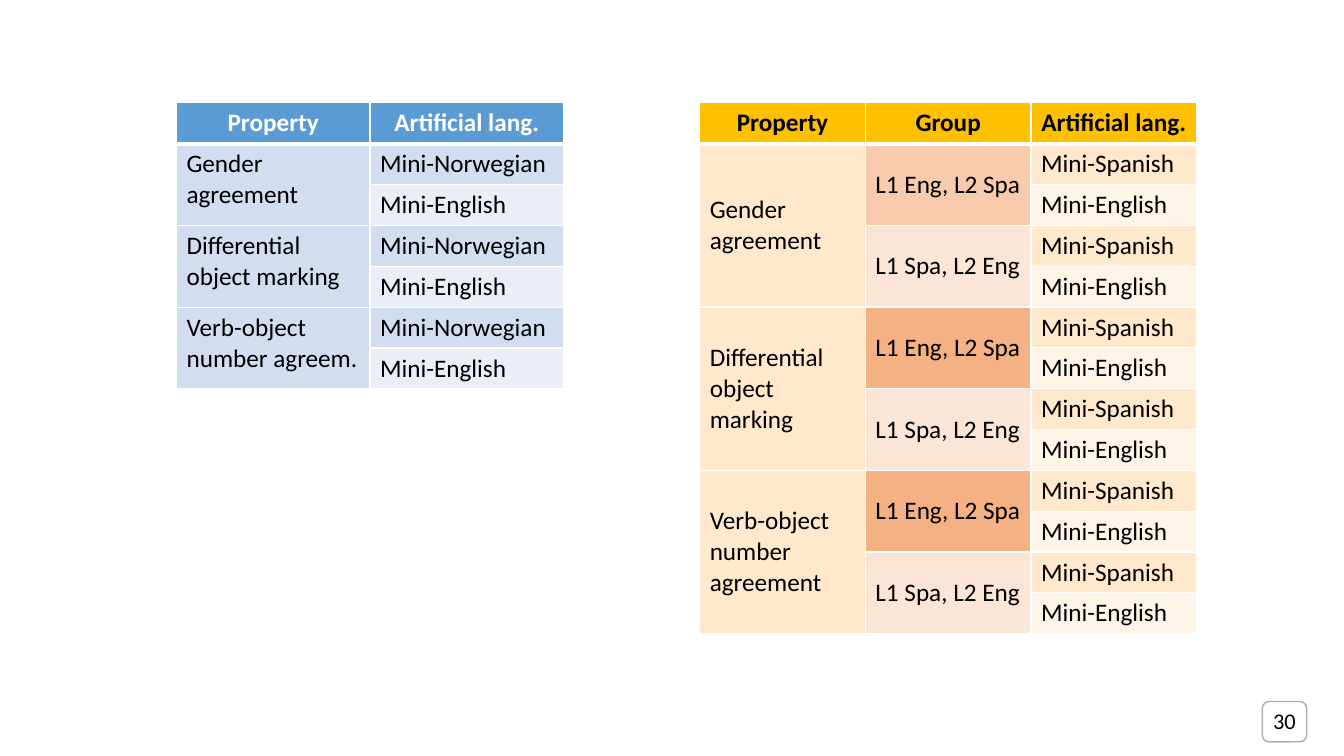
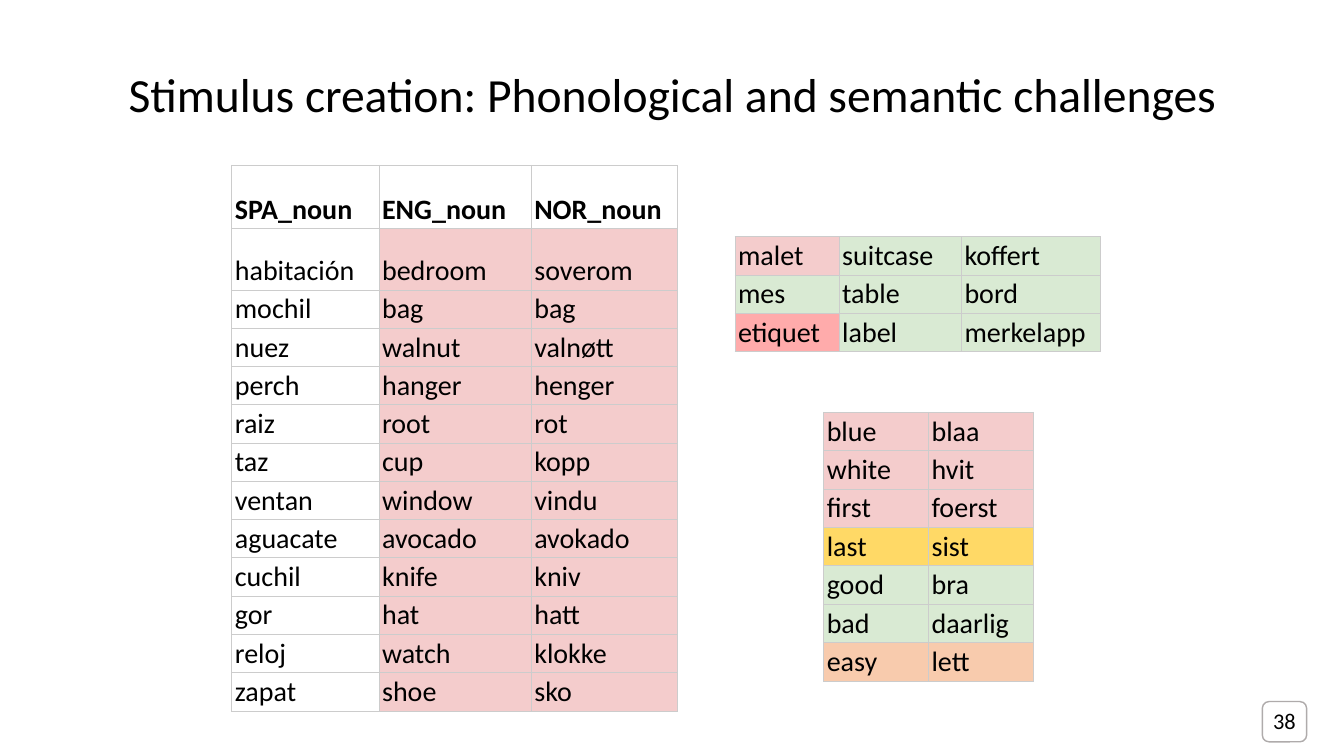
from dataclasses import dataclass

import pptx
import pptx.dml.color
import pptx.enum.shapes
import pptx.enum.text
import pptx.oxml
import pptx.oxml.ns
import pptx.util

ALIGN = pptx.enum.text.PP_ALIGN
ANCHOR = pptx.enum.text.MSO_ANCHOR


@dataclass(frozen=True)
class Theme:
    font: str = "Calibri"
    title_size: int = 34
    design_size: int = 18
    word_size: int = 20
    number_size: int = 16
    black: str = "000000"
    white: str = "FFFFFF"
    badge_line: str = "AFABAB"
    grid_line: str = "CCCCCC"
    blue: str = "5B9BD5"
    blue_mid: str = "D2DEEF"
    blue_pale: str = "EAEFF7"
    gold: str = "FFC000"
    gold_mid: str = "FFE8CC"
    gold_pale: str = "FFF4E7"
    orange: str = "F4B183"
    peach: str = "F8CBAD"
    peach_pale: str = "FBE5D6"
    pink: str = "F4CCCC"
    red: str = "FFABAB"
    yellow: str = "FFD966"
    green: str = "D9EAD3"


THEME = Theme()


@dataclass(frozen=True)
class Entry:
    """Content of one table cell; several text lines become paragraphs."""
    text: str
    fill: str | None = None
    span: int = 1
    anchor: ANCHOR = ANCHOR.TOP
    bold: bool = False
    color: str = THEME.black
    align: ALIGN = ALIGN.LEFT


@dataclass(frozen=True)
class Grid:
    """Look of a whole table; margins are (side, top and bottom) in inches."""
    size: int
    line: str
    line_width: float
    margins: tuple = (0.1, 0.05)
    header_rule: float | None = None


DESIGN_GRID = Grid(THEME.design_size, THEME.white, 1, header_rule=3)
WORD_GRID = Grid(THEME.word_size, THEME.grid_line, 0.75, (0.03, 0.02))

# Boxes are left, top, width, height in percent of the slide.
TITLE_BOX = (6.9, 4.67, 86.27, 16.4)
BADGE_BOX = (93.92, 92.8, 3.3, 5.33)
NUMBER_BOX = (74.64, 92.67, 22.51, 5.33)

deck = pptx.Presentation()
deck.slide_width = pptx.util.Inches(13.33)
deck.slide_height = pptx.util.Inches(7.5)


def place(box):
    sides = (deck.slide_width, deck.slide_height) * 2
    return [round(side * share / 100) for side, share in zip(sides, box)]


def rgb(color):
    return pptx.dml.color.RGBColor.from_string(color)


def write(frame, text, size, color=THEME.black, bold=False, align=ALIGN.LEFT):
    for index, line in enumerate(text.split("\n")):
        paragraph = frame.add_paragraph() if index else frame.paragraphs[0]
        paragraph.alignment = align
        run = paragraph.add_run()
        run.text = line
        run.font.name = THEME.font
        run.font.size = pptx.util.Pt(size)
        run.font.bold = bold
        run.font.color.rgb = rgb(color)


def border(cell, color, widths):
    """Draw the left, right, top and bottom lines, widths in points."""
    properties = cell._tc.get_or_add_tcPr()
    for side, width in zip("LRTB", widths):
        properties.append(pptx.oxml.parse_xml(
            f'<a:ln{side} {pptx.oxml.ns.nsdecls("a")} w="{pptx.util.Pt(width)}">'
            f'<a:solidFill><a:srgbClr val="{color}"/></a:solidFill></a:ln{side}>'))


def fill_cell(cell, entry, grid):
    if entry.fill:
        cell.fill.solid()
        cell.fill.fore_color.rgb = rgb(entry.fill)
    else:
        cell.fill.background()
    side, edge = (pptx.util.Inches(margin) for margin in grid.margins)
    cell.margin_left = cell.margin_right = side
    cell.margin_top = cell.margin_bottom = edge
    cell.vertical_anchor = entry.anchor
    write(cell.text_frame, entry.text, grid.size, entry.color, entry.bold, entry.align)


def draw_table(slide, box, columns, rows, entries, grid):
    """Share the box by column and row weights; None marks a merged-over cell."""
    left, top, width, height = place(box)
    table = slide.shapes.add_table(len(rows), len(columns), left, top, width, height).table
    table.first_row = table.horz_banding = False
    for column, weight in zip(table.columns, columns):
        column.width = round(width * weight / sum(columns))
    for row, weight in zip(table.rows, rows):
        row.height = round(height * weight / sum(rows))
    for r, line in enumerate(entries):
        for c, entry in enumerate(line):
            cell = table.cell(r, c)
            widths = [grid.line_width] * 4
            if grid.header_rule and r < 2:
                widths[2 if r else 3] = grid.header_rule
            border(cell, grid.line, widths)
            if entry is None:
                continue
            if entry.span > 1:
                cell.merge(table.cell(r + entry.span - 1, c))
            fill_cell(cell, entry, grid)


def header(labels, fill, color):
    return [Entry(label, fill, bold=True, color=color, align=ALIGN.CENTER)
            for label in labels]


def number_badge(slide, number):
    badge = slide.shapes.add_shape(
        pptx.enum.shapes.MSO_SHAPE.ROUNDED_RECTANGLE, *place(BADGE_BOX))
    badge.shadow.inherit = False
    badge.fill.background()
    badge.line.color.rgb = rgb(THEME.badge_line)
    badge.line.width = pptx.util.Pt(1)
    frame = slide.shapes.add_textbox(*place(NUMBER_BOX)).text_frame
    frame.word_wrap = True
    frame.vertical_anchor = ANCHOR.MIDDLE
    write(frame, str(number), THEME.number_size, align=ALIGN.RIGHT)


def new_slide(number, title=None):
    slide = deck.slides.add_slide(deck.slide_layouts[5 if title else 6])
    if title:
        heading = slide.shapes.title
        heading.left, heading.top, heading.width, heading.height = place(TITLE_BOX)
        heading.text_frame.vertical_anchor = ANCHOR.MIDDLE
        write(heading.text_frame, title, THEME.title_size, align=ALIGN.CENTER)
        heading.text_frame.paragraphs[0].line_spacing = 0.9
    number_badge(slide, number)
    return slide


def norwegian_design(slide, box):
    entries = [header(["Property", "Artificial lang."], THEME.blue, THEME.white)]
    for name in ("Gender agreement", "Differential object marking",
                 "Verb-object number agreem."):
        entries += [
            [Entry(name, THEME.blue_mid, 2), Entry("Mini-Norwegian", THEME.blue_mid)],
            [None, Entry("Mini-English", THEME.blue_pale)]]
    draw_table(slide, box, [1] * 2, [1] * len(entries), entries, DESIGN_GRID)


def spanish_design(slide, box):
    entries = [header(["Property", "Group", "Artificial lang."], THEME.gold, THEME.black)]
    for name, first_fill in (("Gender agreement", THEME.peach),
                             ("Differential\nobject\nmarking", THEME.orange),
                             ("Verb-object number agreement", THEME.orange)):
        lead = Entry(name, THEME.gold_mid, 4, ANCHOR.MIDDLE)
        for group, fill in (("L1 Eng, L2 Spa", first_fill),
                            ("L1 Spa, L2 Eng", THEME.peach_pale)):
            entries += [
                [lead, Entry(group, fill, 2, ANCHOR.MIDDLE),
                 Entry("Mini-Spanish", THEME.gold_mid)],
                [None, None, Entry("Mini-English", THEME.gold_pale)]]
            lead = None
    draw_table(slide, box, [1] * 3, [1] * len(entries), entries, DESIGN_GRID)


def word_table(slide, box, columns, rows, words, fills, headed=False):
    """Place rows of words with a matching row of fills for each."""
    entries = [[Entry(word, fill, anchor=ANCHOR.BOTTOM, bold=headed and r == 0)
                for word, fill in zip(line, line_fills)]
               for r, (line, line_fills) in enumerate(zip(words, fills))]
    draw_table(slide, box, columns, rows, entries, WORD_GRID)


def noun_table(slide, box):
    nouns = [
        ("SPA_noun", "ENG_noun", "NOR_noun"),
        ("habitación", "bedroom", "soverom"),
        ("mochil", "bag", "bag"),
        ("nuez", "walnut", "valnøtt"),
        ("perch", "hanger", "henger"),
        ("raiz", "root", "rot"),
        ("taz", "cup", "kopp"),
        ("ventan", "window", "vindu"),
        ("aguacate", "avocado", "avokado"),
        ("cuchil", "knife", "kniv"),
        ("gor", "hat", "hatt"),
        ("reloj", "watch", "klokke"),
        ("zapat", "shoe", "sko"),
    ]
    fills = [(None,) * 3] + [(None, THEME.pink, THEME.pink)] * (len(nouns) - 1)
    rows = [0.63, 0.61] + [0.38] * (len(nouns) - 2)
    word_table(slide, box, [1.46, 1.51, 1.45], rows, nouns, fills, headed=True)


def false_stem_table(slide, box):
    nouns = [("malet", "suitcase", "koffert"),
             ("mes", "table", "bord"),
             ("etiquet", "label", "merkelapp")]
    fills = [(first, THEME.green, THEME.green)
             for first in (THEME.pink, THEME.green, THEME.red)]
    word_table(slide, box, [1.03, 1.21, 1.37], [1] * 3, nouns, fills)


def adjective_table(slide, box):
    adjectives = [("blue", "blaa"), ("white", "hvit"), ("first", "foerst"),
                  ("last", "sist"), ("good", "bra"), ("bad", "daarlig"),
                  ("easy", "lett")]
    row_fills = ([THEME.pink] * 3 + [THEME.yellow] + [THEME.green] * 2 + [THEME.peach])
    fills = [(fill, fill) for fill in row_fills]
    word_table(slide, box, [1] * 2, [1] * len(adjectives), adjectives, fills)


def main():
    design = new_slide(30)
    norwegian_design(design, (13.13, 13.6, 28.8, 37.87))
    spanish_design(design, (52.06, 13.6, 36.98, 70.27))

    stimuli = new_slide(38, "Stimulus creation: Phonological and semantic challenges")
    noun_table(stimuli, (17.25, 21.87, 33.16, 72.2))
    adjective_table(stimuli, (61.29, 54.53, 15.6, 35.6))
    false_stem_table(stimuli, (54.69, 31.33, 27.16, 15.2))

    deck.save("out.pptx")


if __name__ == "__main__":
    main()
